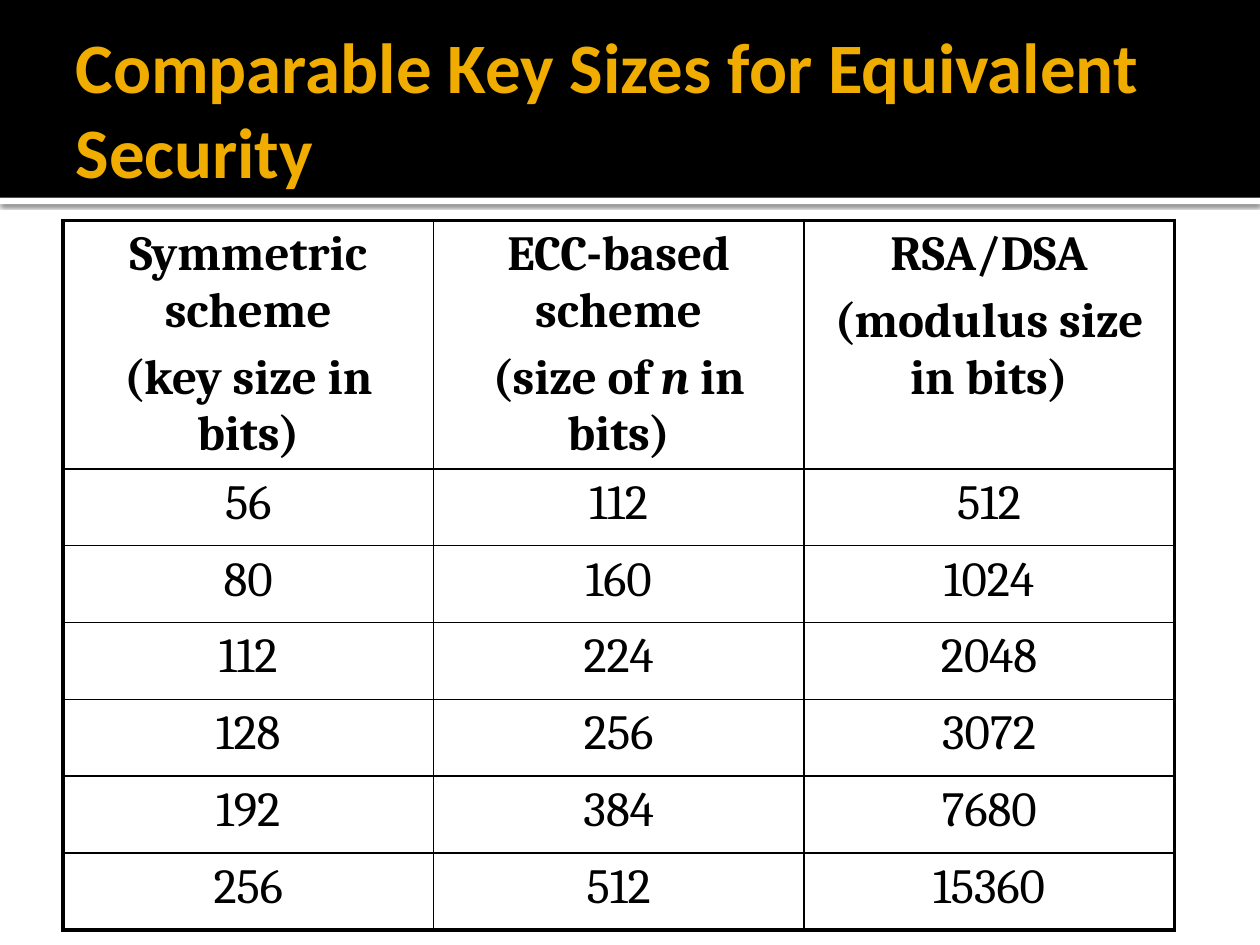
from lxml import etree
from pptx import Presentation
from pptx import util as u
from pptx.dml.color import RGBColor
from pptx.enum import shapes, text
from pptx.oxml import parse_xml
from pptx.oxml.ns import qn

COLORS = {"ink": "000000", "paper": "FFFFFF", "gold": "F0AD00"}
TITLE_FONT = {"name": "Calibri", "size": u.Pt(40.5), "bold": True}
CELL_FONT = {"name": "Cambria", "size": u.Pt(28), "italic": False}
CELL_PARAGRAPH = {"alignment": text.PP_ALIGN.CENTER,
                  "space_before": u.Pt(3), "space_after": u.Pt(3)}
THIN, THICK = 1, 2.25
HEADERS = [
    [["Symmetric scheme"], ["(key size in bits)"]],
    [["ECC-based scheme"], ["(size of ", "n", " in bits)"]],
    [["RSA/DSA"], ["(modulus size in bits)"]],
]
KEY_SIZES = [(56, 112, 512), (80, 160, 1024), (112, 224, 2048),
             (128, 256, 3072), (192, 384, 7680), (256, 512, 15360)]
SHADOW = (
    '<a:outerShdw xmlns:a="http://schemas.openxmlformats.org/drawingml/2006/main" '
    f'blurRad="{u.Pt(2.5)}" dist="{u.Pt(0.8)}" dir="5400000" algn="tl" rotWithShape="0">'
    f'<a:srgbClr val="{COLORS["ink"]}"><a:alpha val="60000"/></a:srgbClr></a:outerShdw>'
)


def apply(target, values):
    """Set every named attribute on the target."""
    for name, value in values.items():
        setattr(target, name, value)


def style_font(font, values, color):
    """Apply font values and a named colour."""
    apply(font, values)
    font.color.rgb = RGBColor.from_string(COLORS[color])


def add_band(slide, order, top, height, color, shadowed=False):
    """Add a full-width band behind the title."""
    band = slide.shapes.add_shape(shapes.MSO_SHAPE.RECTANGLE, 0, u.Inches(top),
                                  u.Inches(10), u.Inches(height))
    band.fill.solid()
    band.fill.fore_color.rgb = RGBColor.from_string(COLORS[color])
    band.line.fill.background()
    band.shadow.inherit = False
    if shadowed:
        effects = band._element.spPr.find(qn("a:effectLst"))
        effects.append(parse_xml(SHADOW))
    slide.shapes._spTree.insert(2 + order, band._element)


def set_title(slide, wording):
    """Place and format the slide title."""
    title = slide.shapes.title
    apply(title, {"left": u.Inches(0.5), "top": u.Inches(0.17),
                  "width": u.Inches(9), "height": u.Inches(1.37)})
    frame = title.text_frame
    frame.text = wording
    apply(frame, {"word_wrap": True, "auto_size": text.MSO_AUTO_SIZE.NONE,
                  "vertical_anchor": text.MSO_ANCHOR.MIDDLE,
                  "margin_left": u.Inches(0.1), "margin_right": u.Inches(0.05),
                  "margin_top": u.Inches(0.05), "margin_bottom": u.Inches(0.05)})
    paragraph = frame.paragraphs[0]
    paragraph.alignment = text.PP_ALIGN.LEFT
    style_font(paragraph.runs[0].font, TITLE_FONT, "gold")


def set_borders(cell, widths):
    """Draw the left, right, top and bottom borders of a cell."""
    properties = cell._tc.get_or_add_tcPr()
    for order, (side, width) in enumerate(zip("LRTB", widths)):
        line = etree.Element(qn(f"a:ln{side}"), w=str(u.Pt(width)))
        fill = etree.SubElement(line, qn("a:solidFill"))
        etree.SubElement(fill, qn("a:srgbClr"), val=COLORS["ink"])
        properties.insert(order, line)


def fill_cell(cell, paragraphs, bold):
    """Write paragraphs made of runs into a cell."""
    frame = cell.text_frame
    for index, pieces in enumerate(paragraphs):
        paragraph = frame.add_paragraph() if index else frame.paragraphs[0]
        apply(paragraph, CELL_PARAGRAPH)
        for piece in pieces:
            run = paragraph.add_run()
            run.text = piece
            style_font(run.font, {**CELL_FONT, "bold": bold, "italic": piece == "n"}, "ink")
    cell.fill.background()


def add_key_table(slide):
    """Add the comparison table with a thick outer frame."""
    rows = [HEADERS] + [[[[str(size)]] for size in sizes] for sizes in KEY_SIZES]
    last_row, last_column = len(rows) - 1, len(HEADERS) - 1
    table = slide.shapes.add_table(len(rows), len(HEADERS), u.Inches(0.5), u.Inches(1.75),
                                   u.Inches(8.83), u.Inches(5.37)).table
    apply(table, {"first_row": False, "horz_banding": False})
    for column in table.columns:
        column.width = u.Inches(2.94)
    for r, contents in enumerate(rows):
        table.rows[r].height = u.Inches(0.61 if r else 1.72)
        for c, paragraphs in enumerate(contents):
            cell = table.cell(r, c)
            fill_cell(cell, paragraphs, bold=r == 0)
            outer = (c == 0, c == last_column, r == 0, r == last_row)
            set_borders(cell, [THICK if edge else THIN for edge in outer])


def main():
    """Build and save the slide."""
    deck = Presentation()
    apply(deck, {"slide_width": u.Inches(10), "slide_height": u.Inches(7.5)})
    slide = deck.slides.add_slide(deck.slide_layouts[5])
    add_band(slide, 0, 1.57, 0.05, "paper", shadowed=True)
    add_band(slide, 1, 0, 1.57, "ink")
    set_title(slide, "Comparable Key Sizes for Equivalent Security")
    add_key_table(slide)
    deck.save("out.pptx")


main()
